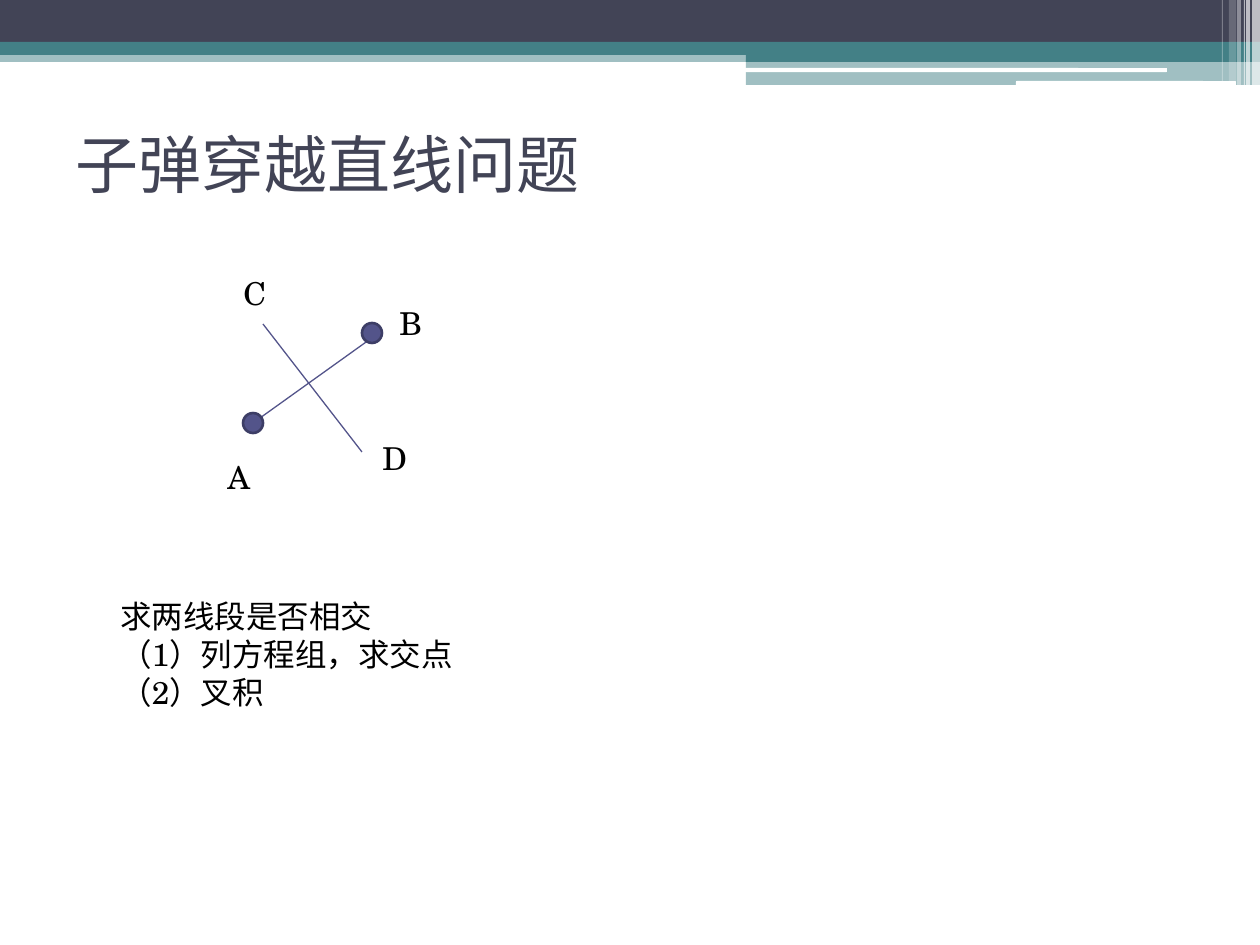
from lxml import etree
from pptx import Presentation
from pptx.dml.color import RGBColor
from pptx.enum.shapes import MSO_CONNECTOR, MSO_SHAPE
from pptx.enum.text import MSO_ANCHOR, PP_ALIGN
from pptx.oxml.ns import qn
from pptx.util import Emu, Pt

RECT, ROUND, OVAL = MSO_SHAPE.RECTANGLE, MSO_SHAPE.ROUNDED_RECTANGLE, MSO_SHAPE.OVAL
STRAIGHT = MSO_CONNECTOR.STRAIGHT
LEFT, MIDDLE = PP_ALIGN.LEFT, MSO_ANCHOR.MIDDLE

NAVY = RGBColor(0x42, 0x44, 0x56)
TEAL = RGBColor(0x43, 0x80, 0x86)
WHITE = RGBColor(0xFF, 0xFF, 0xFF)
BLACK = RGBColor(0, 0, 0)
VIOLET = RGBColor(0x53, 0x54, 0x8A)
EDGE = RGBColor(0x3D, 0x3E, 0x66)
HEAD, BODY = "Karla", "TeX Gyre Schola"

# Header bands: shape, left, top, width, height, colour, opacity in percent
BANDS = [
    (RECT, 0, 50, 1260, 12, TEAL, 50),
    (RECT, 0, 0, 1260, 42, NAVY, 100),
    (RECT, 0, 42, 1260, 13, TEAL, 100),
    (RECT, 746, 49, 514, 13, TEAL, 100),
    (RECT, 746, 60, 514, 25, TEAL, 50),
    (ROUND, 745, 68, 422, 4, WHITE, 100),
    (ROUND, 1016, 81, 220, 5, WHITE, 100),
]
# White stripes at the right: left, width, height, opacity
STRIPES = [
    (1252, 8, 85, 65), (1246, 4, 85, 65), (1244, 1, 85, 60),
    (1237, 4, 85, 40), (1229, 7, 81, 20), (1222, 1, 81, 30),
]
DOTS = [(243, 413), (362, 323)]
LINES = [(263, 324, 362, 452), (253, 423, 369, 340)]
NAMES = [("A", 215, 452, 47), ("B", 387, 298, 47),
         ("C", 231, 268, 45), ("D", 370, 433, 49)]
NOTES = ["求两线段是否相交", "（1）列方程组，求交点", "（2）叉积"]


def px(n):
    return Emu(round(n * 914400 / 126))


def box(slide, kind, x, y, w, h, fill, alpha=100):
    shape = slide.shapes.add_shape(kind, px(x), px(y), px(w), px(h))
    shape.shadow.inherit = False
    shape.fill.solid()
    shape.fill.fore_color.rgb = fill
    shape.line.fill.background()
    if alpha < 100:
        tone = shape.fill._xPr.find(".//" + qn("a:srgbClr"))
        etree.SubElement(tone, qn("a:alpha"), val=str(alpha * 1000))
    return shape


def dot(slide, x, y):
    shape = box(slide, OVAL, x, y, 20, 20, VIOLET)
    shape.line.color.rgb = EDGE
    shape.line.width = Pt(1.5)


def line(slide, x1, y1, x2, y2):
    link = slide.shapes.add_connector(STRAIGHT, px(x1), px(y1), px(x2), px(y2))
    link.line.color.rgb = VIOLET
    link.line.width = Pt(0.75)
    etree.SubElement(link._element.spPr, qn("a:effectLst"))


def write(para, text, size, font, color):
    run = para.add_run()
    run.text = text
    run.font.size = Pt(size)
    run.font.name = font
    run.font.color.rgb = color


def text(slide, x, y, w, h, rows, wrap):
    frame = slide.shapes.add_textbox(px(x), px(y), px(w), px(h)).text_frame
    frame.word_wrap = wrap
    for i, row in enumerate(rows):
        para = frame.paragraphs[0] if i == 0 else frame.add_paragraph()
        write(para, row, 18, BODY, BLACK)


def title(slide, words):
    shape = slide.shapes.title
    shape.left, shape.top, shape.width, shape.height = px(63), px(158), px(1134), px(87)
    frame = shape.text_frame
    frame.vertical_anchor = MIDDLE
    para = frame.paragraphs[0]
    para.alignment = LEFT
    write(para, words, 36, HEAD, NAVY)
    # The title ends in a line break of its own size
    para.add_line_break()
    brk = para._p.find(qn("a:br"))
    for mark in (etree.SubElement(brk, qn("a:rPr"), sz="3600"),
                 etree.SubElement(para._p, qn("a:endParaRPr"), sz="3600")):
        etree.SubElement(mark, qn("a:latin"), typeface=HEAD)


def main():
    deck = Presentation()
    deck.slide_width, deck.slide_height = px(1260), px(945)
    slide = deck.slides.add_slide(deck.slide_layouts[5])

    # Header
    for band in BANDS:
        box(slide, *band)
    for x, w, h, alpha in STRIPES:
        box(slide, RECT, x, 0, w, h, WHITE, alpha)
    title(slide, "子弹穿越直线问题")

    # Crossing segments
    for ends in LINES:
        line(slide, *ends)
    for spot in DOTS:
        dot(slide, *spot)
    for name, x, y, w in NAMES:
        text(slide, x, y, w, 50, [name], False)

    # Ways to solve
    text(slide, 108, 591, 358, 127, NOTES, True)
    deck.save("out.pptx")


if __name__ == "__main__":
    main()
